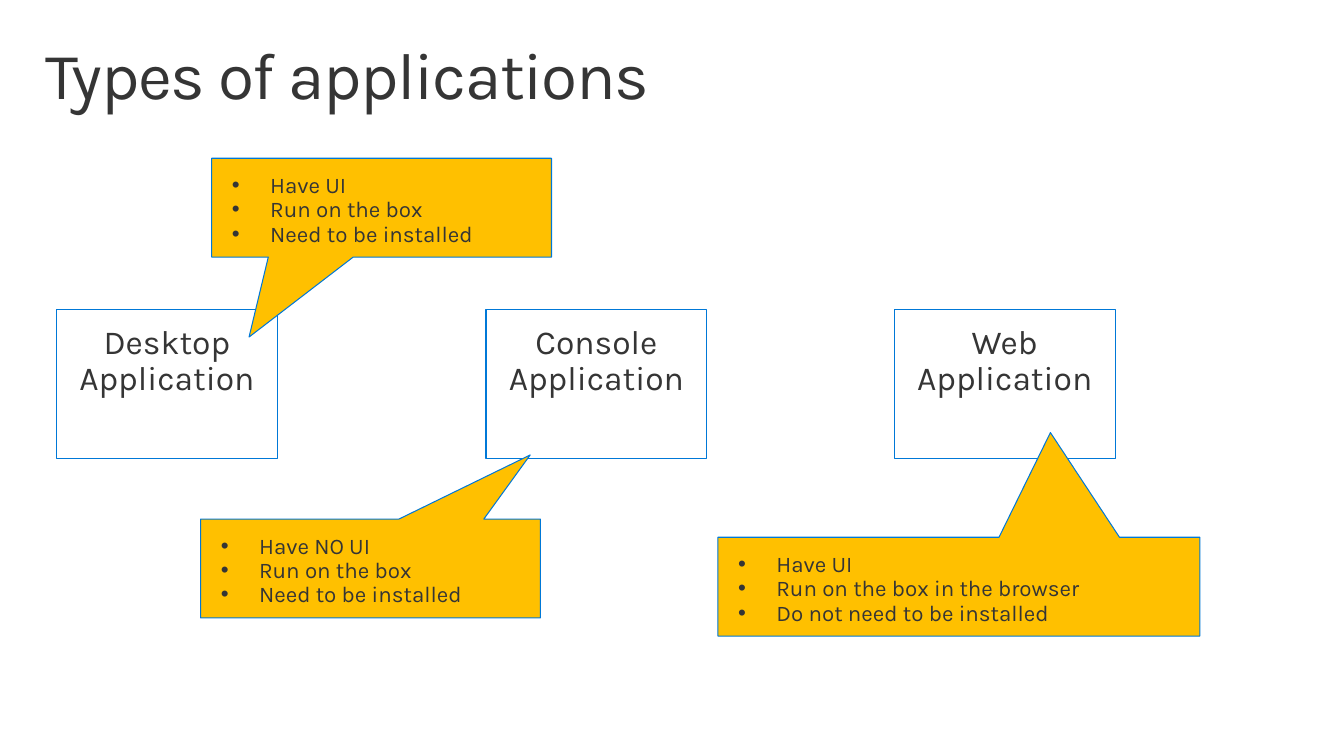
from lxml.etree import SubElement
from pptx import Presentation
from pptx.dml.color import RGBColor
from pptx.enum.shapes import MSO_SHAPE
from pptx.enum.text import MSO_ANCHOR, PP_ALIGN
from pptx.oxml.ns import qn
from pptx.util import Inches, Pt


def color(hex_code):
    return RGBColor.from_string(hex_code)


class SlideBuilder:
    FONT = "Karla"
    TEXT = "353535"
    LINE = "0078D7"
    CALLOUT = "FFC000"

    def __init__(self, slide):
        self.slide = slide

    def add_lines(self, frame, lines, size, margins, align=PP_ALIGN.LEFT, bullets=False, spacing=None):
        frame.word_wrap = True
        frame.vertical_anchor = MSO_ANCHOR.TOP
        frame.margin_left = frame.margin_right = Inches(margins[0])
        frame.margin_top = frame.margin_bottom = Inches(margins[1])
        for index, line in enumerate(lines):
            paragraph = frame.add_paragraph() if index else frame.paragraphs[0]
            paragraph.alignment = align
            paragraph.line_spacing = 0.9
            if bullets:
                properties = paragraph._p.get_or_add_pPr()
                properties.set("marL", str(Inches(0.38)))
                properties.set("indent", str(-Inches(0.38)))
                SubElement(properties, qn("a:buFont")).set("typeface", "Arial")
                SubElement(properties, qn("a:buChar")).set("char", "•")
            run = paragraph.add_run()
            run.text = line
            run.font.name = self.FONT
            run.font.size = Pt(size)
            run.font.color.rgb = color(self.TEXT)
            if spacing is not None:
                run._r.get_or_add_rPr().set("spc", str(spacing))

    def title(self, text):
        heading = self.slide.shapes.add_textbox(Inches(0.29), Inches(0.32), Inches(12.75), Inches(0.98))
        self.add_lines(heading.text_frame, [text], 47, (0.16, 0.1), spacing=-100)

    def outlined(self, kind, left, top, width, height):
        shape = self.slide.shapes.add_shape(kind, Inches(left), Inches(top), Inches(width), Inches(height))
        shape.shadow.inherit = False
        shape.line.color.rgb = color(self.LINE)
        shape.line.width = Pt(0.75)
        return shape

    def application(self, left, name):
        box = self.outlined(MSO_SHAPE.RECTANGLE, left, 3.07, 2.19, 1.48)
        box.fill.background()
        self.add_lines(box.text_frame, [name, "Application"], 24, (0.2, 0.16), PP_ALIGN.CENTER)

    def callout(self, left, top, width, tip, traits):
        bubble = self.outlined(MSO_SHAPE.RECTANGULAR_CALLOUT, left, top, width, 0.98)
        bubble.adjustments[0], bubble.adjustments[1] = tip
        bubble.fill.solid()
        bubble.fill.fore_color.rgb = color(self.CALLOUT)
        self.add_lines(bubble.text_frame, traits, 16, (0.2, 0.16), bullets=True)


def main():
    presentation = Presentation()
    presentation.slide_width = Inches(13.33)
    presentation.slide_height = Inches(7.5)
    builder = SlideBuilder(presentation.slides.add_slide(presentation.slide_layouts[6]))

    builder.title("Types of applications")
    for left, name in [(0.56, "Desktop"), (4.82, "Console"), (8.87, "Web")]:
        builder.application(left, name)

    callouts = [
        (2.1, 1.57, 3.37, (-0.39, 1.31), ["Have UI", "Run on the box", "Need to be installed"]),
        (1.99, 5.15, 3.37, (0.47, -1.15), ["Have NO UI", "Run on the box", "Need to be installed"]),
        (7.12, 5.33, 4.78, (0.19, -1.56),
         ["Have UI", "Run on the box in the browser", "Do not need to be installed"]),
    ]
    for left, top, width, tip, traits in callouts:
        builder.callout(left, top, width, tip, traits)

    presentation.save("out.pptx")


if __name__ == "__main__":
    main()
